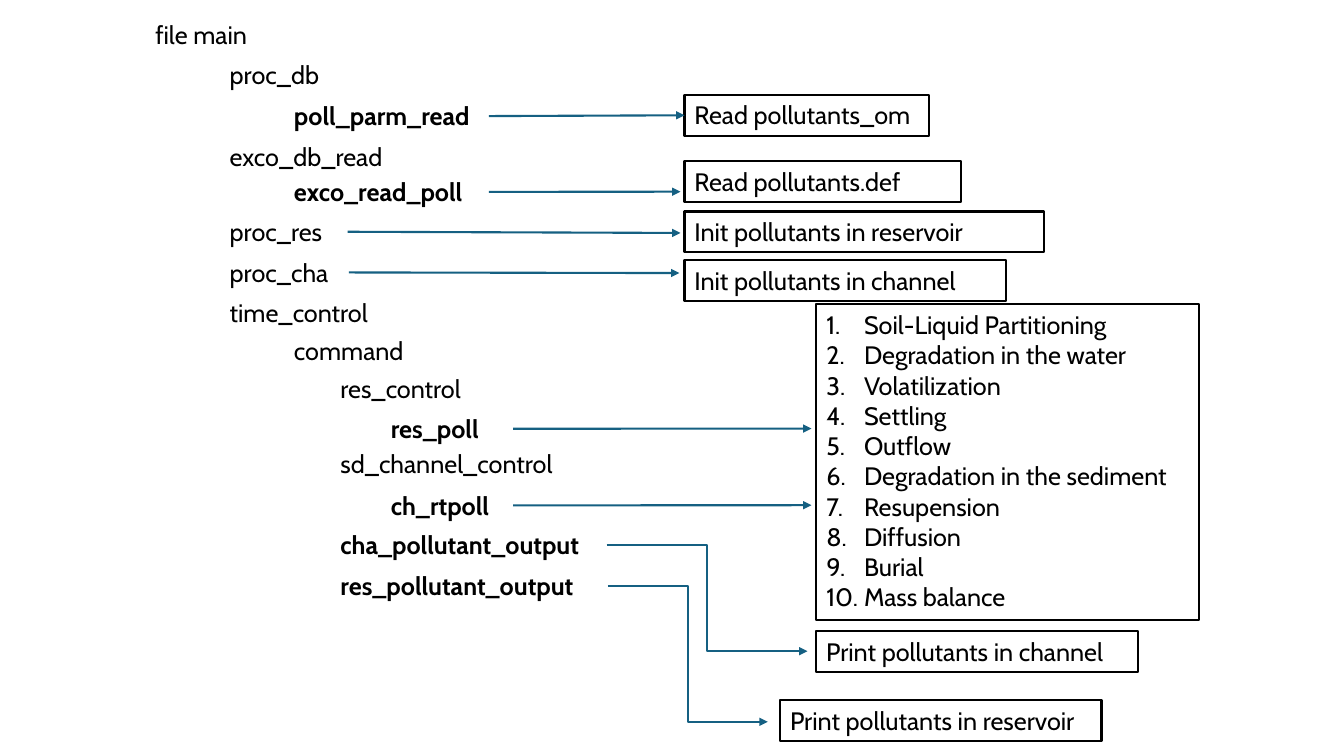
"""Build the call tree slide for the pollutant routines."""
from typing import NamedTuple

from lxml.etree import SubElement
from pptx import Presentation
from pptx.dml.color import RGBColor
from pptx.enum.shapes import MSO_CONNECTOR as Link, MSO_SHAPE as Form
from pptx.enum.text import MSO_ANCHOR as Anchor, MSO_AUTO_SIZE as Fit, PP_ALIGN as Align
from pptx.oxml.ns import qn
from pptx.util import Cm, Pt

BLACK = RGBColor(0x00, 0x00, 0x00)
WHITE = RGBColor(0xFF, 0xFF, 0xFF)
BLUE = RGBColor(0x15, 0x60, 0x82)
FONT = {"name": "Cabin", "size": Pt(18)}
FRAME = {"word_wrap": True, "auto_size": Fit.NONE, "vertical_anchor": Anchor.TOP}
PARA = {"alignment": Align.LEFT, "space_before": Pt(0)}
ROW = 1.03
LEVELS = (3.66, 5.54, 7.16, 8.33, 9.6)


class Call(NamedTuple):
    """A routine in the call tree."""
    text: str
    level: int
    top: float
    width: float
    bold: bool = False


class Box(NamedTuple):
    """A framed note on what a routine does."""
    text: str
    left: float
    top: float
    width: float


class Arrow(NamedTuple):
    """An arrow, with the names of the parts it joins."""
    start: tuple[float, float]
    end: tuple[float, float]
    kind: Link = Link.STRAIGHT
    source: str = ""
    target: str = ""


MAIN = Call("file main", 0, 0.36, 3.73)
CALLS = (
    Call("proc_db", 1, 1.37, 3.25),
    Call("poll_parm_read", 2, 2.41, 5.16, True),
    Call("exco_db_read", 1, 3.43, 4.6),
    Call("exco_read_poll", 2, 4.32, 5.16, True),
    Call("proc_res", 1, 5.33, 3),
    Call("proc_cha", 1, 6.35, 3.25),
    Call("time_control", 1, 7.37, 4.93),
    Call("command", 2, 8.33, 4.6),
    Call("res_control", 3, 9.27, 4.6),
    Call("res_poll", 4, 10.29, 3.33, True),
    Call("sd_channel_control", 3, 11.18, 6.53),
    Call("ch_rtpoll", 4, 12.22, 3.33, True),
    Call("cha_pollutant_output", 3, 13.21, 7.19, True),
    Call("res_pollutant_output", 3, 14.25, 7.19, True),
)
BOXES = (
    Box("Read pollutants_om", 17.25, 2.39, 6.17),
    Box("Read pollutants.def", 17.25, 4.06, 6.96),
    Box("Init pollutants in reservoir", 17.25, 5.33, 9.07),
    Box("Init pollutants in channel", 17.25, 6.55, 8.1),
    Box("Print pollutants in channel", 20.57, 15.9, 8.1),
    Box("Print pollutants in reservoir", 19.66, 17.65, 8.1),
)
STEPS = (
    "Soil-Liquid Partitioning", "Degradation in the water", "Volatilization",
    "Settling", "Outflow", "Degradation in the sediment", "Resupension",
    "Diffusion", "Burial", "Mass balance",
)
ARROWS = (
    Arrow((12.32, 2.92), (17.25, 2.9), source="poll_parm_read", target="Read pollutants_om"),
    Arrow((12.32, 4.83), (17.15, 4.83), source="exco_read_poll"),
    Arrow((8.76, 5.84), (17.15, 5.87)),
    Arrow((8.79, 6.86), (17.12, 6.88), source="proc_cha"),
    Arrow((12.93, 10.8), (20.45, 10.8), source="res_poll"),
    Arrow((12.93, 12.73), (20.45, 12.73), source="ch_rtpoll"),
    Arrow((15.29, 13.74), (20.35, 16.41), Link.ELBOW),
    Arrow((15.32, 14.76), (19.35, 18.19), Link.ELBOW),
)


def apply(item, values: dict) -> None:
    """Set each named value on the item."""
    for name, value in values.items():
        setattr(item, name, value)


def place(shape, left: float, top: float, width: float, height: float) -> None:
    """Move and size a shape."""
    apply(shape, {"left": Cm(left), "top": Cm(top), "width": Cm(width), "height": Cm(height)})


def write(shape, text: str, bold: bool = False) -> None:
    """Fill a shape with text in the slide's style."""
    frame = shape.text_frame
    frame.text = text
    apply(frame, FRAME)
    for para in frame.paragraphs:
        apply(para, PARA)
        for run in para.runs:
            apply(run.font, FONT | {"bold": bold})
            run.font.color.rgb = BLACK


def outline(shape) -> None:
    """Give a shape a white fill and a black frame."""
    shape.fill.solid()
    shape.fill.fore_color.rgb = WHITE
    shape.line.color.rgb = BLACK
    shape.line.width = Pt(1.5)


def add_call(slide, call: Call):
    """Add a routine name at its level."""
    shape = slide.shapes.add_textbox(0, 0, 0, 0)
    place(shape, LEVELS[call.level], call.top, call.width, ROW)
    write(shape, call.text, call.bold)
    return shape


def add_box(slide, box: Box):
    """Add a framed note."""
    shape = slide.shapes.add_shape(Form.RECTANGLE, 0, 0, 0, 0)
    place(shape, box.left, box.top, box.width, ROW)
    shape.shadow.inherit = False
    outline(shape)
    write(shape, box.text)
    return shape


def add_steps(body) -> None:
    """Turn the body into the framed, numbered list."""
    place(body, 20.57, 7.67, 9.65, 7.95)
    outline(body)
    write(body, "\n".join(STEPS))
    indent = Cm(0.95)
    for para in body.text_frame.paragraphs:
        props = para._p.get_or_add_pPr()
        props.set("marL", str(indent))
        props.set("indent", str(-indent))
        SubElement(props, qn("a:buFontTx"))
        SubElement(props, qn("a:buAutoNum"), type="arabicPeriod")


def add_arrow(slide, arrow: Arrow, parts: dict) -> None:
    """Draw an arrow and join its ends to the named parts."""
    ends = [Cm(value) for value in arrow.start + arrow.end]
    line = slide.shapes.add_connector(arrow.kind, *ends)
    if arrow.source:
        line.begin_connect(parts[arrow.source], 3)
    if arrow.target:
        line.end_connect(parts[arrow.target], 1)
    line.line.color.rgb = BLUE
    line.line.width = Pt(1.5)
    props = line._element.spPr
    SubElement(props.find(qn("a:ln")), qn("a:tailEnd"), type="triangle")
    SubElement(props, qn("a:effectLst"))


def main() -> None:
    """Build and save the deck."""
    deck = Presentation()
    deck.slide_width, deck.slide_height = Cm(33.87), Cm(19.05)
    slide = deck.slides.add_slide(deck.slide_layouts[1])
    title, body = slide.placeholders
    place(title, LEVELS[MAIN.level], MAIN.top, MAIN.width, ROW)
    write(title, MAIN.text)
    add_steps(body)
    parts = {call.text: add_call(slide, call) for call in CALLS}
    parts |= {box.text: add_box(slide, box) for box in BOXES}
    for arrow in ARROWS:
        add_arrow(slide, arrow, parts)
    deck.save("out.pptx")


if __name__ == "__main__":
    main()
